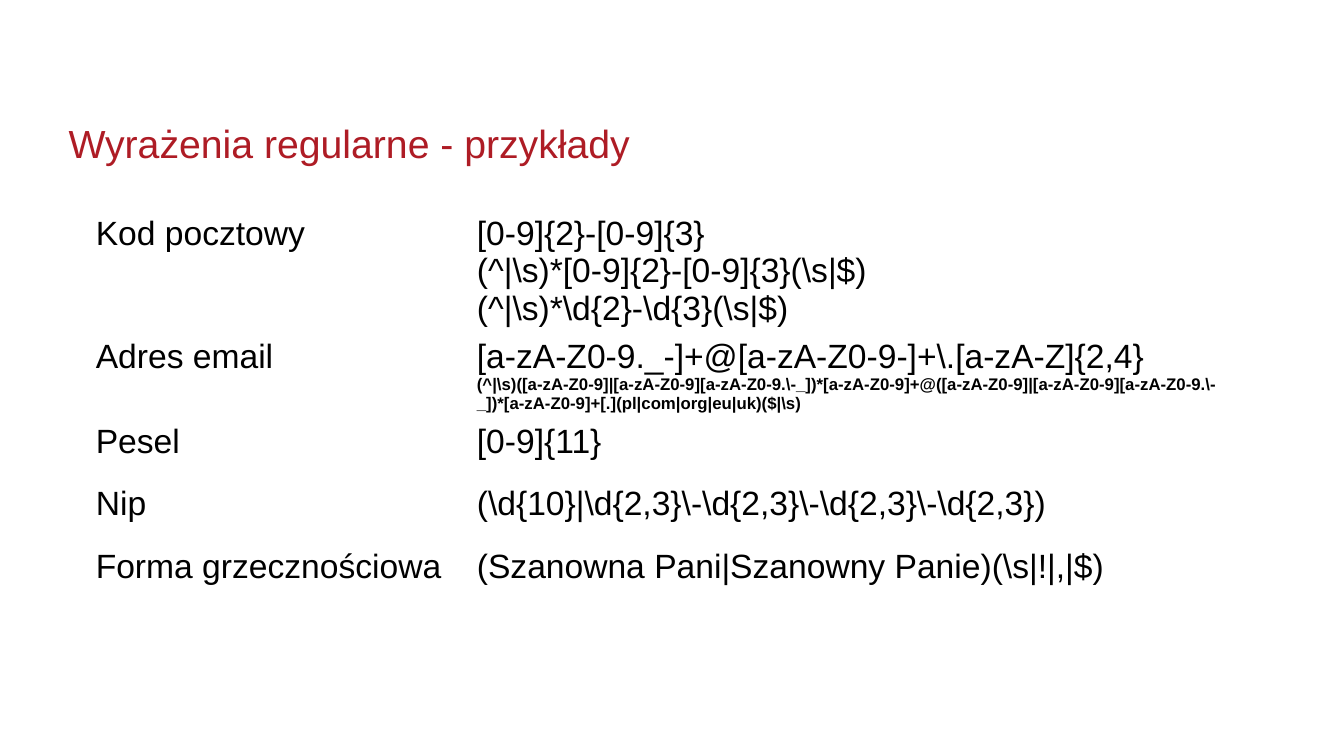
from pptx import Presentation
from pptx.dml.color import RGBColor
from pptx.enum.text import MSO_ANCHOR, PP_ALIGN
from pptx.util import Inches, Pt

COLORS = {"title": "AE1C25", "text": "000000"}
TITLE_ONLY = 5
LONG_PATTERN_LENGTH = 60

EXAMPLES = [
    ("Kod pocztowy", [
        r"[0-9]{2}-[0-9]{3}",
        r"(^|\s)*[0-9]{2}-[0-9]{3}(\s|$)",
        r"(^|\s)*\d{2}-\d{3}(\s|$)",
    ]),
    ("Adres email", [
        r"[a-zA-Z0-9._-]+@[a-zA-Z0-9-]+\.[a-zA-Z]{2,4}",
        r"(^|\s)([a-zA-Z0-9]|[a-zA-Z0-9][a-zA-Z0-9.\-_])*[a-zA-Z0-9]+"
        r"@([a-zA-Z0-9]|[a-zA-Z0-9][a-zA-Z0-9.\-_])*[a-zA-Z0-9]+"
        r"[.](pl|com|org|eu|uk)($|\s)",
    ]),
    ("Pesel", [r"[0-9]{11}"]),
    ("Nip", [r"(\d{10}|\d{2,3}\-\d{2,3}\-\d{2,3}\-\d{2,3})"]),
    ("Forma grzecznościowa", [r"(Szanowna Pani|Szanowny Panie)(\s|!|,|$)"]),
]


class RegexPage:
    font_name = "Arial"

    def __init__(self, deck):
        self.page = deck.slides.add_slide(deck.slide_layouts[TITLE_ONLY])

    def add_span(self, paragraph, text, size, color, bold=False):
        paragraph.alignment = PP_ALIGN.LEFT
        span = paragraph.add_run()
        span.text = text
        font_format = {"name": self.font_name, "size": Pt(size), "bold": bold}
        for attribute, value in font_format.items():
            setattr(span.font, attribute, value)
        span.font.color.rgb = RGBColor.from_string(COLORS[color])

    def add_title(self, text, left, top, width, height):
        title = self.page.shapes.title
        place = {"left": left, "top": top, "width": width, "height": height}
        for attribute, value in place.items():
            setattr(title, attribute, Inches(value))
        frame = title.text_frame
        for side in ("left", "top", "right", "bottom"):
            setattr(frame, f"margin_{side}", Inches(0.1))
        frame.vertical_anchor = MSO_ANCHOR.MIDDLE
        self.add_span(frame.paragraphs[0], text, 28, "title")

    def fill_cell(self, cell, lines):
        """Put one paragraph per line, with long patterns small and bold."""
        cell.fill.background()
        frame = cell.text_frame
        for index, line in enumerate(lines):
            paragraph = frame.add_paragraph() if index else frame.paragraphs[0]
            is_long = len(line) > LONG_PATTERN_LENGTH
            self.add_span(paragraph, line, 12 if is_long else 24, "text", is_long)

    def add_examples(self, examples, left, top, column_widths, row_heights):
        table = self.page.shapes.add_table(
            len(examples), len(column_widths), Inches(left), Inches(top),
            Inches(sum(column_widths)), Inches(sum(row_heights))).table
        table.first_row = table.horz_banding = False
        for column, width in zip(table.columns, column_widths):
            column.width = Inches(width)
        for row, height, (label, patterns) in zip(table.rows, row_heights, examples):
            row.height = Inches(height)
            self.fill_cell(row.cells[0], [label])
            self.fill_cell(row.cells[1], patterns)


def main():
    deck = Presentation()
    deck.slide_width, deck.slide_height = Inches(13.33), Inches(7.5)
    page = RegexPage(deck)
    page.add_title("Wyrażenia regularne - przykłady", 0.58, 0.9, 11.67, 1.04)
    page.add_examples(EXAMPLES, 0.85, 2.08, [3.78, 7.62], [1.22] + [0.62] * 4)
    deck.save("out.pptx")


if __name__ == "__main__":
    main()
